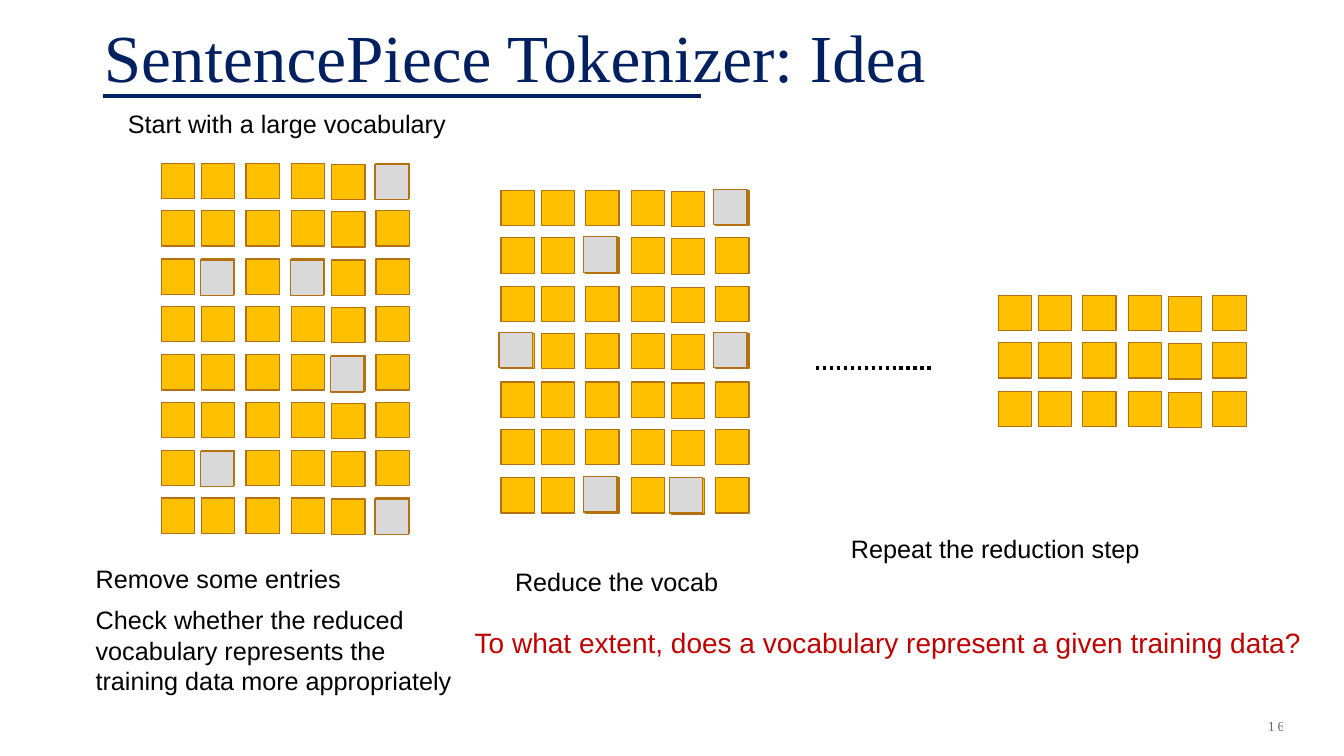
from lxml.etree import SubElement
from pptx import Presentation
from pptx.dml.color import RGBColor
from pptx.enum.dml import MSO_LINE_DASH_STYLE as Dash
from pptx.enum.shapes import MSO_CONNECTOR as Connector, MSO_SHAPE as Shape
from pptx.enum.text import MSO_ANCHOR as Anchor, MSO_AUTO_SIZE as AutoSize, PP_ALIGN as Align
from pptx.oxml.ns import qn
from pptx.util import Inches, Pt

COLORS = {
    "navy": "002060",
    "black": "000000",
    "red": "C00000",
    "kept": "FFC000",
    "removed": "D9D9D9",
    "edge": "B37111",
}
COLUMN_OFFSETS = (0, 0.4, 0.84, 1.29, 1.69, 2.13)
LOWERED_COLUMN = 4
PAIR_PITCH, ROW_PITCH = 0.95, 0.47
ENTRY_WIDTH, ENTRY_HEIGHT = 0.33, 0.35


def color(name):
    """Return the named colour."""
    return RGBColor.from_string(COLORS[name])


def fill_text(box, lines, size, tint, font="Arial", align=Align.LEFT, **frame_format):
    """Write one paragraph per line and return the spans."""
    frame = box.text_frame
    for name, value in frame_format.items():
        setattr(frame, name, value)
    spans = []
    for index, line in enumerate(lines):
        para = frame.add_paragraph() if index else frame.paragraphs[0]
        para.alignment = align
        span = para.add_run()
        span.text = line
        for name, value in {"name": font, "size": Pt(size), "bold": False}.items():
            setattr(span.font, name, value)
        span.font.color.rgb = color(tint)
        spans.append(span)
    return spans


def add_title(page, text):
    """Place and format the title placeholder."""
    title = page.shapes.title
    place = {"left": 0.93, "top": -0.22, "width": 11.53, "height": 1.22}
    for name, value in place.items():
        setattr(title, name, Inches(value))
    fill_text(title, [text], 48, "navy", "Times New Roman", word_wrap=True,
              auto_size=AutoSize.NONE, vertical_anchor=Anchor.BOTTOM)


def add_label(page, place, lines, size=18, tint="black"):
    """Add an unwrapped label."""
    box = page.shapes.add_textbox(*map(Inches, place))
    fill_text(box, lines, size, tint, word_wrap=False,
              auto_size=AutoSize.SHAPE_TO_FIT_TEXT)


def add_page_number(page, number):
    """Add the spaced, translucent page number."""
    box = page.shapes.add_textbox(*map(Inches, (10.92, 6.95, 1.92, 0.5)))
    span, = fill_text(box, [number], 10, "black", "Times New Roman", Align.RIGHT,
                      word_wrap=True, vertical_anchor=Anchor.MIDDLE)
    properties = span.font._element
    properties.set("spc", "200")
    tint = properties.find(".//" + qn("a:srgbClr"))
    SubElement(tint, qn("a:alpha")).set("val", "60000")


def add_line(page, start, end, tint, dash=None):
    """Add a straight line without a shadow."""
    line = page.shapes.add_connector(Connector.STRAIGHT, *map(Inches, start + end))
    line.line.color.rgb = color(tint)
    line.line.width = Pt(2.5)
    if dash:
        line.line.dash_style = dash
    SubElement(line._element.spPr, qn("a:effectLst"))


def add_entry(page, left, top, tint):
    """Add one vocabulary entry."""
    entry = page.shapes.add_shape(
        Shape.RECTANGLE, *map(Inches, (left, top, ENTRY_WIDTH, ENTRY_HEIGHT)))
    entry.shadow.inherit = False
    entry.fill.solid()
    entry.fill.fore_color.rgb = color(tint)
    entry.line.color.rgb = color("edge")
    entry.line.width = Pt(0.85)


def add_vocabulary(page, left, top, rows, removed=(), shift=(0, 0)):
    """Add a grid of entries and cover the removed ones, given as (row, column)."""
    def position(row, column):
        """Return the left and top of a grid cell."""
        drop = row // 2 * PAIR_PITCH + row % 2 * ROW_PITCH
        lowering = 0.01 if column == LOWERED_COLUMN else 0
        return left + COLUMN_OFFSETS[column], top + drop + lowering

    for row in range(rows):
        for column in range(len(COLUMN_OFFSETS)):
            add_entry(page, *position(row, column), "kept")
    for cell in removed:
        x, y = position(*cell)
        add_entry(page, x + shift[0], y + shift[1], "removed")


def main():
    """Build the slide and save it."""
    deck = Presentation()
    deck.slide_width, deck.slide_height = Inches(13.33), Inches(7.5)
    page = deck.slides.add_slide(deck.slide_layouts[5])

    add_line(page, (1.02, 0.95), (6.95, 0.95), "navy")
    add_title(page, "SentencePiece Tokenizer: Idea")
    add_page_number(page, "16")

    add_vocabulary(page, 1.6, 1.62, 8,
                   [(0, 5), (2, 1), (2, 3), (4, 4), (6, 1), (7, 5)], (-0.01, 0.01))
    add_vocabulary(page, 4.97, 1.89, 7,
                   [(0, 5), (1, 2), (3, 0), (3, 5), (6, 2), (6, 4)], (-0.02, -0.01))
    add_vocabulary(page, 9.9, 2.93, 3)
    add_line(page, (8.09, 3.65), (9.24, 3.65), "black", Dash.ROUND_DOT)

    add_label(page, (1.17, 1.03, 3.44, 0.4), ["Start with a large vocabulary"])
    add_label(page, (0.85, 5.54, 2.68, 0.4), ["Remove some entries"])
    add_label(page, (0.85, 5.95, 3.98, 1.01), [
        "Check whether the reduced",
        "vocabulary represents the",
        "training data more appropriately",
    ])
    add_label(page, (5.01, 5.57, 2.27, 0.4), ["Reduce the vocab"])
    add_label(page, (8.34, 5.24, 3.18, 0.4), ["Repeat the reduction step"])
    add_label(page, (4.61, 6.16, 8.62, 0.44),
              ["To what extent, does a vocabulary represent a given training data?"],
              20, "red")
    deck.save("out.pptx")


if __name__ == "__main__":
    main()
